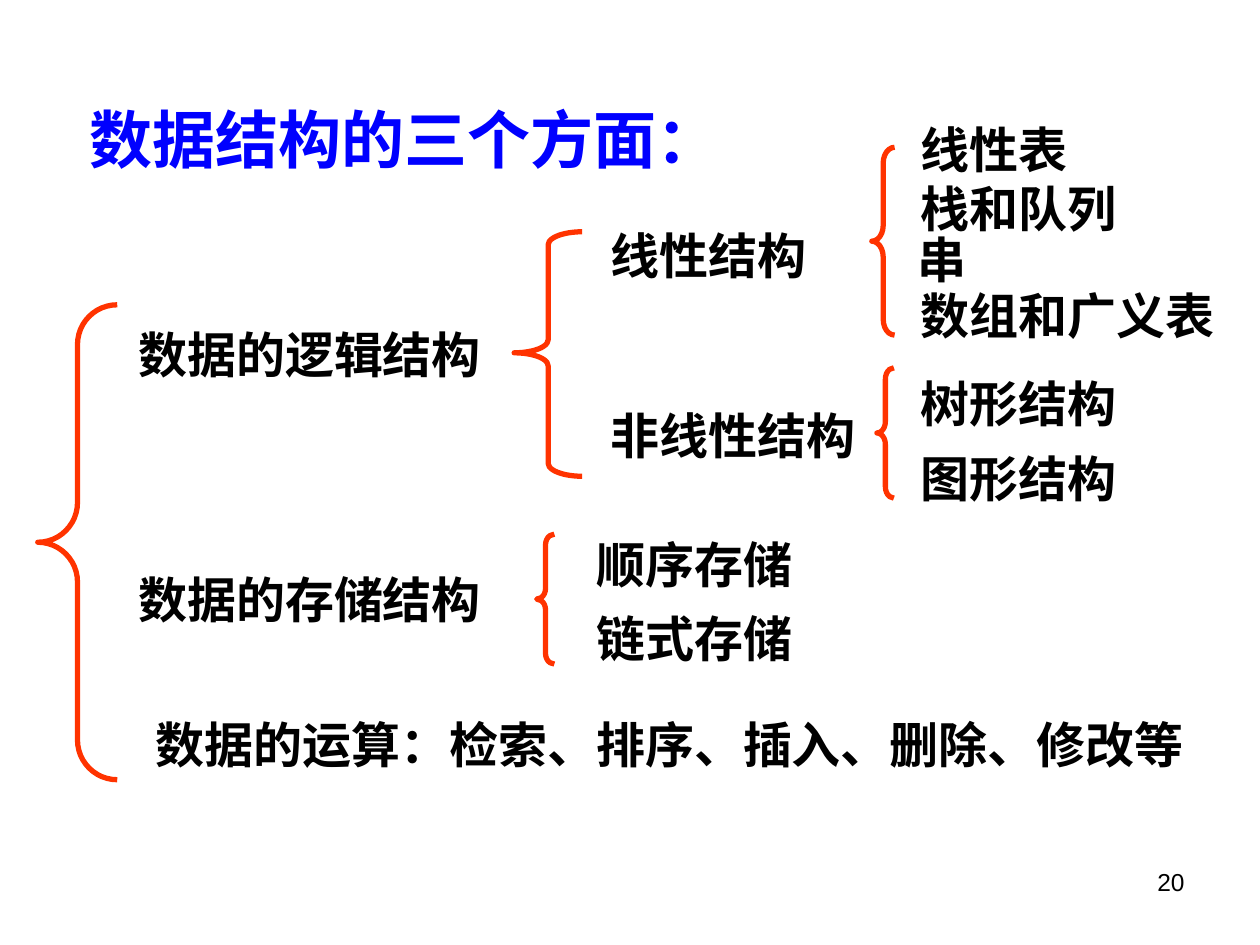
"""Build a slide that classifies the three aspects of data structures with braces."""
from pptx import Presentation
from pptx.dml.color import RGBColor
from pptx.enum.shapes import MSO_SHAPE
from pptx.enum.text import MSO_ANCHOR, PP_ALIGN
from pptx.util import Pt


def color(value):
    return RGBColor.from_string(value)


def write(box, text, size, fill="000000", bold=True, face="Times New Roman", align=PP_ALIGN.LEFT):
    frame = box.text_frame
    frame.text = text
    frame.word_wrap = False
    frame.vertical_anchor = MSO_ANCHOR.TOP
    paragraph = frame.paragraphs[0]
    paragraph.alignment = align
    font = paragraph.runs[0].font
    font.size = Pt(size)
    font.bold = bold
    font.name = face
    font.color.rgb = color(fill)


deck = Presentation()
deck.slide_width, deck.slide_height = Pt(720), Pt(540)
slide = deck.slides.add_slide(deck.slide_layouts[5])

title = slide.shapes.title
title.left, title.top, title.width, title.height = Pt(44), Pt(54), Pt(375), Pt(50)
write(title, "数据结构的三个方面：", 36, "0000FF")

braces = [
    (21.6, 174.2, 45.4, 271.4, 0.5, 0.5),
    (306.7, 305.3, 10.1, 74.2, 0.6, 0.5),
    (293.8, 132.5, 38.9, 139.7, 0.19, 0.495),
    (498.2, 84.2, 13, 107.3, 0.69, 0.5),
    (501.1, 210.2, 9.7, 74.5, 0.67, 0.5),
]
for left, top, width, height, curl, middle in braces:
    brace = slide.shapes.add_shape(MSO_SHAPE.LEFT_BRACE, Pt(left), Pt(top), Pt(width), Pt(height))
    brace.adjustments[0] = curl
    brace.adjustments[1] = middle
    brace.shadow.inherit = False
    brace.fill.background()
    brace.line.color.rgb = color("FF3300")
    brace.line.width = Pt(3)

aspects_left, kinds_left, storage_left, examples_left = 72, 342, 334, 519
labels = [
    ("数据的逻辑结构", aspects_left, 182),
    ("数据的存储结构", aspects_left, 322),
    ("数据的运算：检索、排序、插入、删除、修改等", 82, 404.6),
    ("线性结构", kinds_left, 125.3),
    ("非线性结构", kinds_left, 228.2),
    ("顺序存储", storage_left, 301.7),
    ("链式存储", storage_left, 344.2),
    ("线性表", examples_left, 64.8),
    ("栈和队列", examples_left, 98.6),
    ("串", 517, 127.4),
    ("数组和广义表", examples_left, 159.8),
    ("树形结构", examples_left, 210.2),
    ("图形结构", examples_left, 252.7),
]
for text, left, top in labels:
    label = slide.shapes.add_textbox(Pt(left), Pt(top), Pt(28 * len(text) + 14.4), Pt(41))
    write(label, text, 28)

page_number = slide.shapes.add_textbox(Pt(516), Pt(492), Pt(168), Pt(37.5))
write(page_number, "20", 14, bold=False, face="Arial", align=PP_ALIGN.RIGHT)
page_number.text_frame.word_wrap = True

deck.save("out.pptx")
